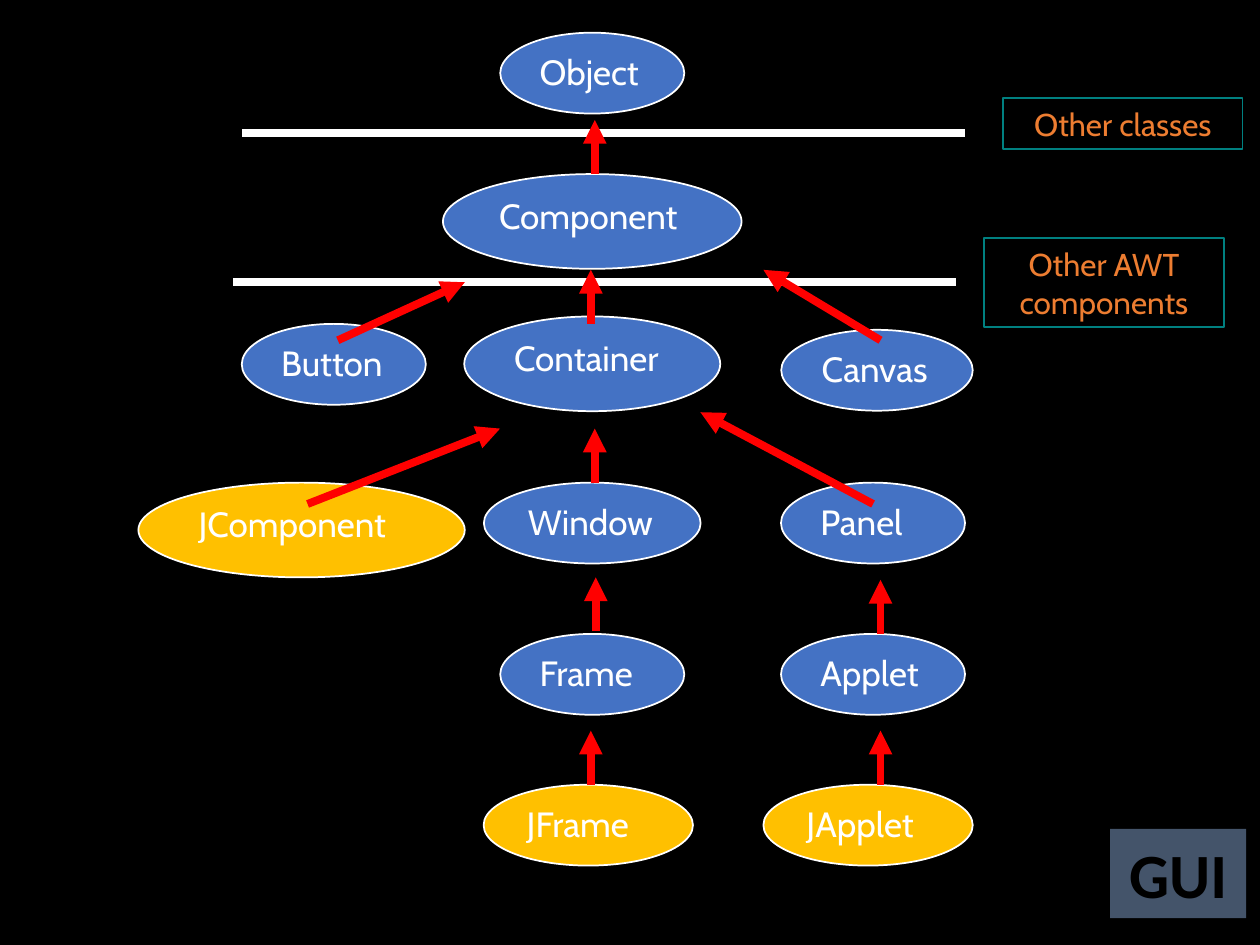
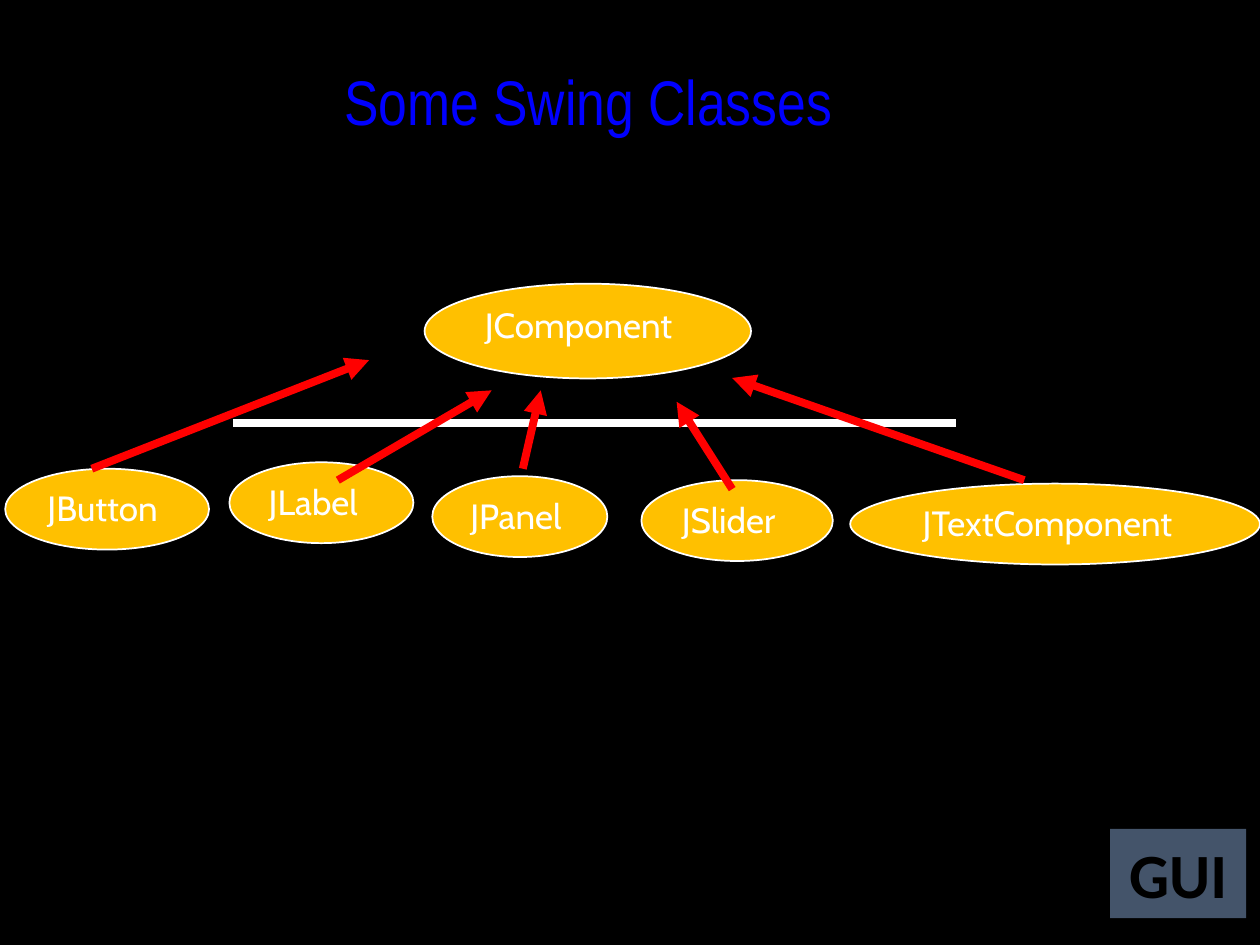
from lxml import etree
from pptx import Presentation
from pptx.dml.color import RGBColor
from pptx.enum.shapes import MSO_CONNECTOR, MSO_SHAPE
from pptx.enum.text import MSO_ANCHOR, PP_ALIGN
from pptx.oxml.ns import qn
from pptx.util import Cm, Pt

OVAL, RECT = MSO_SHAPE.OVAL, MSO_SHAPE.RECTANGLE
STRAIGHT = MSO_CONNECTOR.STRAIGHT
TOP, MIDDLE = MSO_ANCHOR.TOP, MSO_ANCHOR.MIDDLE
LEFT, CENTER = PP_ALIGN.LEFT, PP_ALIGN.CENTER

BLACK = RGBColor(0x00, 0x00, 0x00)
WHITE = RGBColor(0xFF, 0xFF, 0xFF)
BLUE = RGBColor(0x44, 0x72, 0xC4)
GOLD = RGBColor(0xFF, 0xC0, 0x00)
RED = RGBColor(0xFF, 0x00, 0x00)
TEAL = RGBColor(0x00, 0x80, 0x80)
ORANGE = RGBColor(0xED, 0x7D, 0x31)
SLATE = RGBColor(0x44, 0x54, 0x6A)
TITLE_BLUE = RGBColor(0x00, 0x00, 0xFF)

TITLE_FONT = {"name": "Arial Narrow", "size": Pt(36), "color": TITLE_BLUE}
NODE_FONT = {"name": "Cabin", "size": Pt(20), "color": WHITE}
NOTE_FONT = {"name": "Cabin", "size": Pt(18), "color": ORANGE}
BADGE_FONT = {"name": "Calibri", "size": Pt(36), "bold": True, "color": BLACK}

# Lengths in centimetres
SMALL, BIG = 1.63, 1.91  # ellipse heights
BAR_LENGTH = 14.58
RISE = 1.09  # length of an upright arrow


def write(sp, text, font, align, anchor):
    tf = sp.text_frame
    tf.word_wrap = True
    tf.vertical_anchor = anchor
    p = tf.paragraphs[0]
    p.alignment = align
    r = p.add_run()
    r.text = text
    for key, value in font.items():
        if key == "color":
            r.font.color.rgb = value
        else:
            setattr(r.font, key, value)


def add_box(slide, kind, box, text, font, fill=None, line=None,
            align=CENTER, anchor=MIDDLE):
    sp = slide.shapes.add_shape(kind, *(Cm(v) for v in box))
    sp.shadow.inherit = False
    if fill is None:
        sp.fill.background()
    else:
        sp.fill.solid()
        sp.fill.fore_color.rgb = fill
    if line is None:
        sp.line.fill.background()
    else:
        sp.line.color.rgb = line
        sp.line.width = Pt(1)
    write(sp, text, font, align, anchor)
    return sp


def add_line(slide, x1, y1, x2, y2, color, arrow=False):
    c = slide.shapes.add_connector(STRAIGHT, Cm(x1), Cm(y1), Cm(x2), Cm(y2))
    c.line.color.rgb = color
    c.line.width = Pt(4.5)
    sp_pr = c._element.spPr
    if arrow:
        etree.SubElement(sp_pr.find(qn("a:ln")), qn("a:tailEnd"), type="triangle")
    etree.SubElement(sp_pr, qn("a:effectLst"))


def add_tree(slide, left, top, bars, nodes, arrows):
    """Class tree: bars (x, y), nodes (name, centre, y, w, h, fill), arrows."""
    for x, y in bars:
        add_line(slide, left + x, top + y, left + x + BAR_LENGTH, top + y, WHITE)
    for name, centre, y, w, h, fill in nodes:
        add_box(slide, OVAL, (left + centre - w / 2, top + y, w, h), name,
                NODE_FONT, fill, WHITE, LEFT, TOP)
    for x1, y1, x2, y2 in arrows:
        add_line(slide, left + x1, top + y1, left + x2, top + y2, RED, arrow=True)


def style_master(prs, slide):
    """Black background and the corner badge, shared by all slides."""
    master = prs.slide_master
    master.background.fill.solid()
    master.background.fill.fore_color.rgb = BLACK
    badge = add_box(slide, RECT, (22.38, 16.71, 2.74, 1.8), "GUI", BADGE_FONT, SLATE)
    badge._element.nvSpPr.cNvPr.set("id", "20")
    master.shapes._spTree.append(badge._element)


def awt_hierarchy(slide, left, top):
    mid, right = 11.94, 17.6
    rows = (9.07, 12.12, 15.16)
    nodes = [
        ("Object", mid, 0, 3.71, SMALL, BLUE),
        ("Component", mid, 2.85, 6.02, BIG, BLUE),
        ("Container", mid, 5.72, 5.16, BIG, BLUE),
        ("Button", 6.73, 5.87, 3.71, SMALL, BLUE),
        ("Canvas", 17.68, 5.99, 3.86, SMALL, BLUE),
        ("Window", mid, rows[0], 4.37, SMALL, BLUE),
        ("Frame", mid, rows[1], 3.71, SMALL, BLUE),
        ("JFrame", 11.86, rows[2], 4.22, SMALL, GOLD),
        ("Panel", right, rows[0], 3.71, SMALL, BLUE),
        ("Applet", right, rows[1], 3.71, SMALL, BLUE),
        ("JApplet", 17.5, rows[2], 4.22, SMALL, GOLD),
        ("JComponent", 6.08, rows[0], 6.58, BIG, GOLD),
    ]
    upright = [(11.99, 2.85), (11.91, 5.87), (11.99, rows[0]), (12.01, 12.07),
               (11.91, rows[2]), (17.75, rows[1]), (17.75, rows[2])]
    arrows = [(x, y, x, y - RISE) for x, y in upright] + [
        (6.81, 6.2, 9.37, 5.03),
        (17.75, 6.2, 15.39, 4.78),
        (6.2, 9.5, 10.08, 7.98),
        (17.6, 9.5, 14.12, 7.65),
    ]
    add_tree(slide, left, top, [(4.7, 5.03), (4.88, 2.03)], nodes, arrows)

    # Notes beside the bars
    for text, x, y, h in (("Other classes", 20.22, 1.32, 1.02),
                          ("Other AWT components", 19.84, 4.14, 1.8)):
        add_box(slide, RECT, (left + x, top + y, 4.83, h), text, NOTE_FONT, line=TEAL)


def swing_classes(slide, left, top):
    nodes = [
        ("JButton", 2.16, 3.73, 4.11, SMALL, GOLD),
        ("JLabel", 6.48, 3.6, 3.71, SMALL, GOLD),
        ("JPanel", 10.48, 3.88, 3.53, SMALL, GOLD),
        ("JSlider", 14.86, 3.96, 3.86, SMALL, GOLD),
        ("JTextComponent", 21.27, 4.03, 8.26, SMALL, GOLD),
        ("JComponent", 11.85, 0, 6.58, BIG, GOLD),
    ]
    arrows = [
        (1.85, 3.73, 7.44, 1.54),
        (6.81, 3.96, 9.91, 2.15),
        (10.54, 3.73, 10.9, 2.15),
        (14.76, 4.14, 13.64, 2.38),
        (20.65, 3.96, 14.76, 1.9),
    ]
    add_tree(slide, left, top, [(4.7, 2.81)], nodes, arrows)


def set_title(slide, text, left, top, width, height):
    sp = slide.shapes.title
    box = {"left": left, "top": top, "width": width, "height": height}
    for key, value in box.items():
        setattr(sp, key, Cm(value))
    write(sp, text, TITLE_FONT, CENTER, MIDDLE)


def main():
    prs = Presentation()
    prs.slide_width, prs.slide_height = Cm(25.4), Cm(19.05)
    title_only, blank = prs.slide_layouts[5], prs.slide_layouts[6]

    # Slide 1: class hierarchy
    s = prs.slides.add_slide(blank)
    style_master(prs, s)
    awt_hierarchy(s, 0, 0.66)

    # Slide 2: children of JComponent
    s = prs.slides.add_slide(title_only)
    set_title(s, "Some Swing Classes", 2.97, 1.07, 17.78, 1.91)
    swing_classes(s, 0, 5.72)

    prs.save("out.pptx")


if __name__ == "__main__":
    main()
